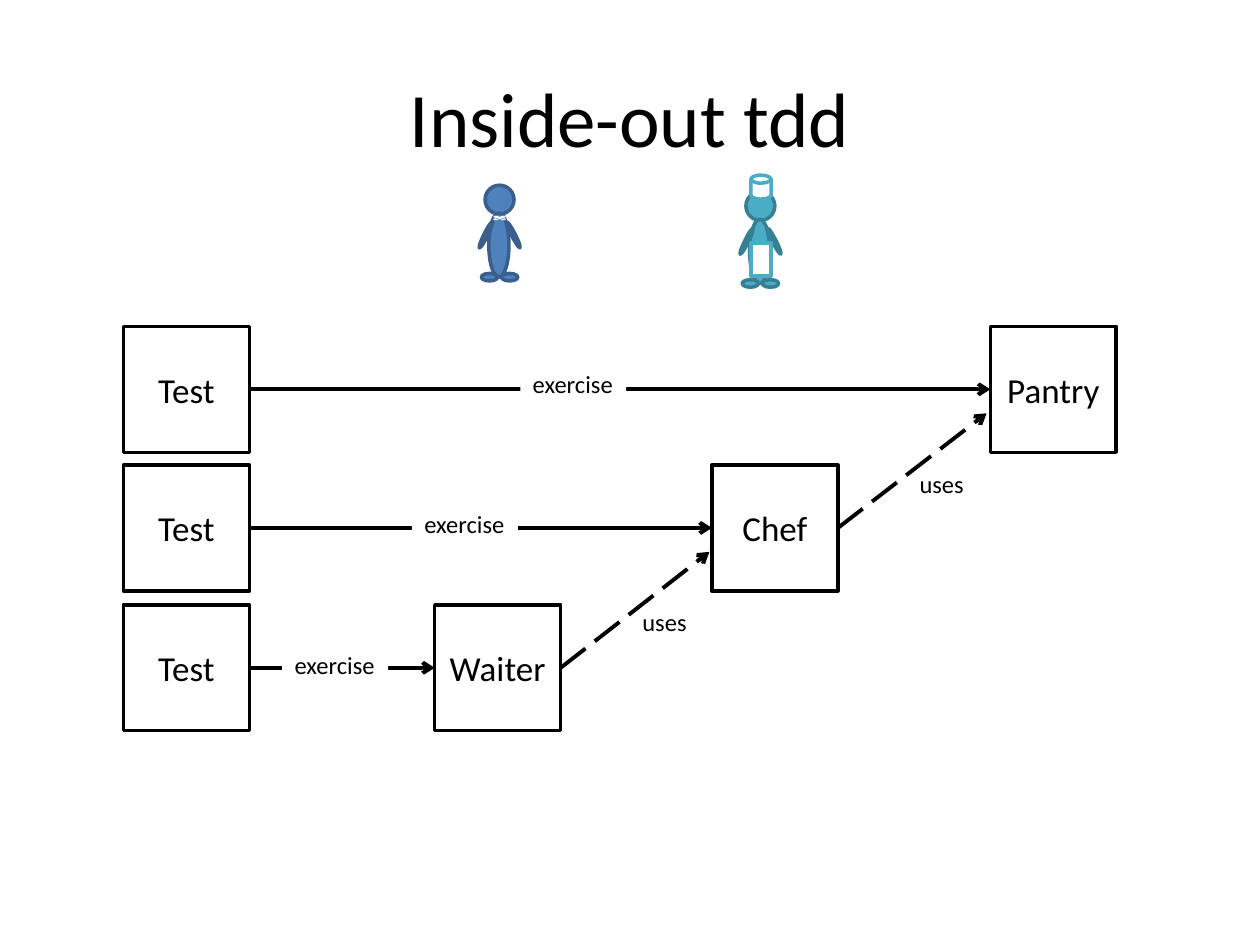
from lxml import etree
from pptx import Presentation
from pptx.dml.color import RGBColor
from pptx.enum.dml import MSO_LINE
from pptx.enum.shapes import MSO_CONNECTOR, MSO_SHAPE
from pptx.enum.text import MSO_ANCHOR, MSO_AUTO_SIZE, PP_ALIGN
from pptx.oxml.ns import qn
from pptx.util import Inches, Pt

RECT, OVAL, HEART = MSO_SHAPE.RECTANGLE, MSO_SHAPE.OVAL, MSO_SHAPE.HEART
HAT = MSO_SHAPE.FLOWCHART_MAGNETIC_DISK
STRAIGHT, LONG_DASH = MSO_CONNECTOR.STRAIGHT, MSO_LINE.LONG_DASH
CENTER, LEFT = PP_ALIGN.CENTER, PP_ALIGN.LEFT
MIDDLE, TOP = MSO_ANCHOR.MIDDLE, MSO_ANCHOR.TOP
FIT_TEXT = MSO_AUTO_SIZE.SHAPE_TO_FIT_TEXT
LEFT_SIDE, RIGHT_SIDE = 1, 3
COLORS = {
    "ink": "000000", "paper": "FFFFFF",
    "waiter": "4F81BD", "waiter edge": "3A5F8C",
    "chef": "4BACC6", "chef edge": "377F92",
}

deck = Presentation()
deck.slide_width, deck.slide_height = Inches(10), Inches(7.5)
page = deck.slides.add_slide(deck.slide_layouts[6])


def add_part(parent, kind, place, fill=None, edge=None, weight=2.0):
    """Add a preset shape; without a fill or edge colour that part is empty."""
    shape = parent.add_shape(kind, *[Inches(value) for value in place])
    shape.shadow.inherit = False
    if fill:
        shape.fill.solid()
        shape.fill.fore_color.rgb = RGBColor.from_string(COLORS[fill])
    else:
        shape.fill.background()
    if edge:
        shape.line.color.rgb = RGBColor.from_string(COLORS[edge])
        shape.line.width = Pt(weight)
    else:
        shape.line.fill.background()
    return shape


def write(shape, text, size, align=CENTER, anchor=MIDDLE, wrap=True):
    frame = shape.text_frame
    frame.text = text
    frame.word_wrap = wrap
    frame.vertical_anchor = anchor
    if not wrap:
        frame.auto_size = FIT_TEXT
    para = frame.paragraphs[0]
    para.alignment = align
    para.font.size = Pt(size)
    para.font.name = "Calibri"
    para.font.color.rgb = RGBColor.from_string(COLORS["ink"])


# Title
title = page.shapes.add_textbox(Inches(0.5), Inches(0.3), Inches(9), Inches(1.25))
write(title, "Inside-out tdd", 44)

# Rows of boxes: each test exercises one role
rows = [("Pantry", 7.86, 2.59), ("Chef", 5.65, 3.69), ("Waiter", 3.45, 4.8)]
arrows = []
roles = []
for name, left, top in rows:
    role = add_part(page.shapes, RECT, (left, top, 1, 1), "paper", "ink")
    write(role, name, 20)
    test = add_part(page.shapes, RECT, (0.98, top, 1, 1), "paper", "ink")
    write(test, "Test", 20)
    arrow = page.shapes.add_connector(STRAIGHT, 0, 0, 0, 0)
    arrow.begin_connect(test, RIGHT_SIDE)
    arrow.end_connect(role, LEFT_SIDE)
    arrows.append(arrow)
    roles.append(role)

# Dashed arrows: each role uses the one above it
for user, end_x, end_y in [(roles[2], 5.63, 4.38), (roles[1], 7.83, 3.28)]:
    arrow = page.shapes.add_connector(STRAIGHT, 0, 0, Inches(end_x), Inches(end_y))
    arrow.begin_connect(user, RIGHT_SIDE)
    arrow.line.dash_style = LONG_DASH
    arrows.append(arrow)

# Shared arrow style
for arrow in arrows:
    arrow.line.color.rgb = RGBColor.from_string(COLORS["ink"])
    arrow.line.width = Pt(2.25)
    etree.SubElement(arrow.line._get_or_add_ln(), qn("a:tailEnd"), type="arrow")
    etree.SubElement(arrow._element.spPr, qn("a:effectLst"))

# Arrow labels
labels = [
    ("uses", 5, 4.77, 0.56, None), ("uses", 7.2, 3.67, 0.56, None),
    ("exercise", 4.13, 2.88, 0.84, "paper"),
    ("exercise", 3.27, 3.99, 0.84, "paper"),
    ("exercise", 2.24, 5.11, 0.84, "paper"),
]
for text, left, top, width, fill in labels:
    label = add_part(page.shapes, RECT, (left, top, width, 0.34), fill)
    write(label, text, 14, LEFT, TOP, wrap=False)

# Waiter and chef figures: head, body, feet, arms
body_parts = [
    (0.11, 0, 0.23, 0.23, 0), (0.14, 0.22, 0.16, 0.51, 0),
    (0.24, 0.7, 0.13, 0.06, 0), (0.08, 0.7, 0.13, 0.06, 0),
    (0.22, 0.38, 0.23, 0.03, 63.1), (0, 0.38, 0.23, 0.03, 116.2),
]
figures = {}
for name, left, top in [("waiter", 3.74, 1.47), ("chef", 5.81, 1.52)]:
    figure = page.shapes.add_group_shape()
    for x, y, width, height, angle in body_parts:
        place = (left + x, top + y, width, height)
        part = add_part(figure.shapes, OVAL, place, name, name + " edge")
        part.rotation = angle
    figures[name] = figure.shapes

# Waiter's bow tie and buttons
for top, angle in [(1.72, 0), (1.71, 180)]:
    bow = add_part(figures["waiter"], HEART, (3.91, top, 0.11, 0.03),
                   "paper", "waiter", 0.25)
    bow.rotation = angle
    bow._element.spPr.find(qn("a:xfrm")).set("flipV", "1")
for row in range(3):
    add_part(figures["waiter"], OVAL, (3.95, 1.79 + 0.06 * row, 0.03, 0.03),
             "paper", "waiter")

# Chef's hat and apron
add_part(figures["chef"], HAT, (5.96, 1.39, 0.16, 0.19), "paper", "chef")
add_part(figures["chef"], RECT, (5.96, 1.93, 0.16, 0.26), "paper", "chef")

deck.save("out.pptx")
